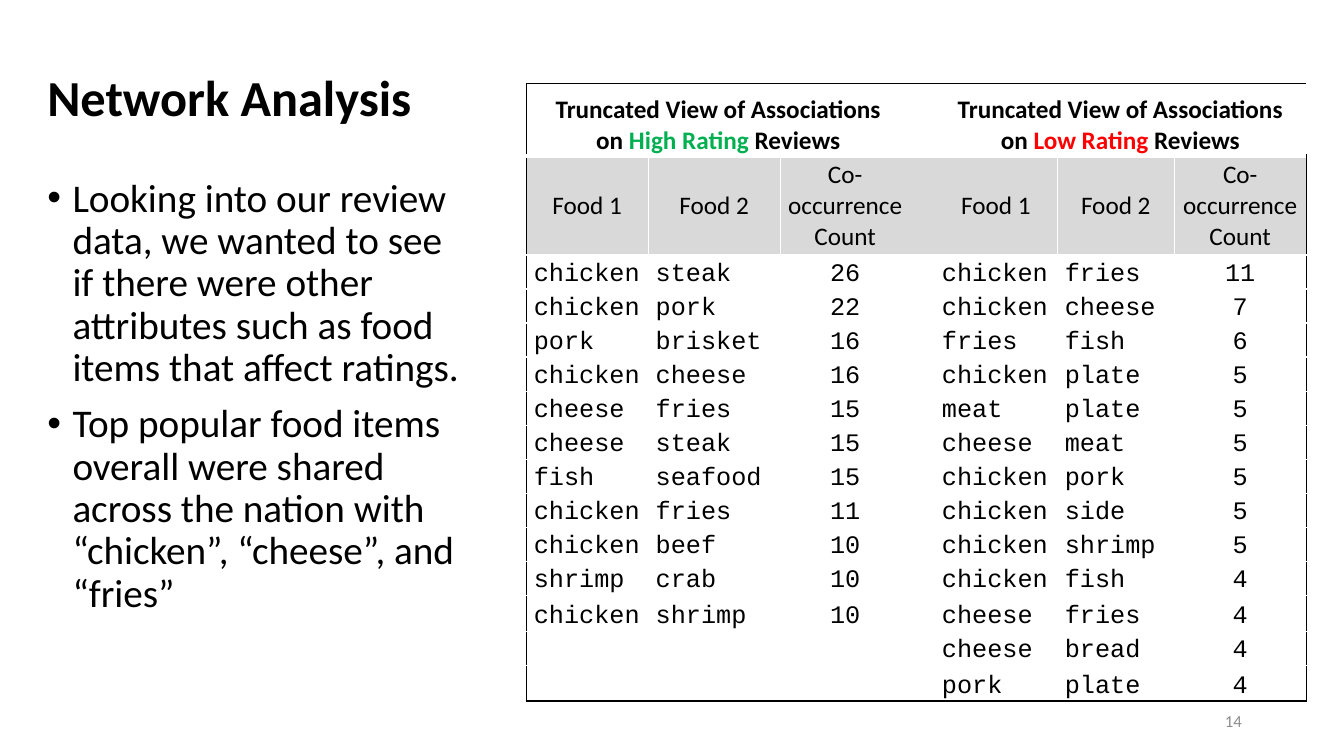
from dataclasses import dataclass

from lxml import etree
from pptx import Presentation
from pptx.dml.color import RGBColor
from pptx.enum.text import MSO_ANCHOR, MSO_AUTO_SIZE, PP_ALIGN
from pptx.oxml.ns import qn
from pptx.util import Pt

LEFT, CENTER, RIGHT = PP_ALIGN.LEFT, PP_ALIGN.CENTER, PP_ALIGN.RIGHT
MIDDLE, BOTTOM = MSO_ANCHOR.MIDDLE, MSO_ANCHOR.BOTTOM
SANS, MONO = "Calibri", "Courier New"
BLACK, WHITE, GREY, PAGE_GREY = "000000", "FFFFFF", "D9D9D9", "8C8C8C"
GREEN, RED = "00B050", "FF0000"

BULLETS = [
    "Looking into our review data, we wanted to see if there were other "
    "attributes such as food items that affect ratings.",
    "Top popular food items overall were shared across the nation with "
    "“chicken”, “cheese”, and “fries”",
]
COLUMN_NAMES = ["Food 1", "Food 2", "Co-occurrence Count"]
COLUMN_WIDTHS = [87.1, 94.3, 92.9, 17.3, 87.8, 83.5, 94.3]
ROW_HEIGHTS = [51.8, 70.6] + [24.3] * 10 + [25.7, 24.3, 25.7]
GAP_COLUMN = 3


@dataclass
class Ratings:
    """One half of the table; heading holds paragraphs of (text, colour) runs."""
    first_column: int
    heading: list[list[tuple[str, str]]]
    pairs: list[tuple[str, str, int]]


HALVES = [
    Ratings(
        0,
        [[("Truncated View of Associations", BLACK)],
         [("on ", BLACK), ("High Rating", GREEN), (" Reviews", BLACK)]],
        [("chicken", "steak", 26), ("chicken", "pork", 22), ("pork", "brisket", 16),
         ("chicken", "cheese", 16), ("cheese", "fries", 15), ("cheese", "steak", 15),
         ("fish", "seafood", 15), ("chicken", "fries", 11), ("chicken", "beef", 10),
         ("shrimp", "crab", 10), ("chicken", "shrimp", 10)],
    ),
    Ratings(
        4,
        [[("Truncated View of Associations on ", BLACK), ("Low Rating", RED),
          (" Reviews", BLACK)]],
        [("chicken", "fries", 11), ("chicken", "cheese", 7), ("fries", "fish", 6),
         ("chicken", "plate", 5), ("meat", "plate", 5), ("cheese", "meat", 5),
         ("chicken", "pork", 5), ("chicken", "side", 5), ("chicken", "shrimp", 5),
         ("chicken", "fish", 4), ("cheese", "fries", 4), ("cheese", "bread", 4),
         ("pork", "plate", 4)],
    ),
]


def rgb(color: str) -> RGBColor:
    return RGBColor.from_string(color)


def place(sp, left: float, top: float, width: float, height: float) -> None:
    sp.left, sp.top, sp.width, sp.height = Pt(left), Pt(top), Pt(width), Pt(height)


def style(p, size: float, font: str = SANS, color: str = BLACK,
          bold: bool = False, align=LEFT) -> None:
    p.alignment = align
    p.font.size, p.font.name, p.font.bold = Pt(size), font, bold
    p.font.color.rgb = rgb(color)


def add_edge(cell, side: str, color: str | None, width: float = 1) -> None:
    """Draw one cell border, or hide it when color is None."""
    ln = etree.SubElement(cell._tc.get_or_add_tcPr(), qn(f"a:ln{side}"), w=str(Pt(width)))
    if color is None:
        etree.SubElement(ln, qn("a:noFill"))
    else:
        fill = etree.SubElement(ln, qn("a:solidFill"))
        etree.SubElement(fill, qn("a:srgbClr"), val=color)


def format_cell(cell, row: int, col: int) -> None:
    last_row, last_col = len(ROW_HEIGHTS) - 1, len(COLUMN_WIDTHS) - 1
    cell.margin_left = cell.margin_right = Pt(5.4)
    cell.margin_top = cell.margin_bottom = Pt(0)
    cell.vertical_anchor = MIDDLE if row == 1 else BOTTOM
    left = None if col in (GAP_COLUMN, GAP_COLUMN + 1) else WHITE
    right = None if col in (GAP_COLUMN - 1, GAP_COLUMN) else WHITE
    # The schema wants borders in this order, ahead of the fill
    add_edge(cell, "L", BLACK if col == 0 else left)
    add_edge(cell, "R", BLACK if col == last_col else right)
    add_edge(cell, "T", BLACK if row == 0 else WHITE, 3 if row == 1 else 1)
    add_edge(cell, "B", BLACK if row == last_row else WHITE, 3 if row == 0 else 1)
    if row == 0:
        cell.fill.background()
    else:
        cell.fill.solid()
        cell.fill.fore_color.rgb = rgb(GREY if row == 1 else WHITE)


def write_cell(cell, text: str, font: str, align) -> None:
    p = cell.text_frame.paragraphs[0]
    p.text = text
    style(p, 18, font, align=align)


def fill_half(table, half: Ratings) -> None:
    first = half.first_column
    heading = table.cell(0, first)
    heading.merge(table.cell(0, first + 2))
    tf = heading.text_frame
    for i, runs in enumerate(half.heading):
        p = tf.paragraphs[0] if i == 0 else tf.add_paragraph()
        style(p, 18, bold=True, align=CENTER)
        for text, color in runs:
            r = p.add_run()
            r.text = text
            r.font.color.rgb = rgb(color)
    for i, name in enumerate(COLUMN_NAMES):
        write_cell(table.cell(1, first + i), name, SANS, CENTER)
    for row, pair in enumerate(half.pairs, start=2):
        for i, value in enumerate(pair):
            write_cell(table.cell(row, first + i), str(value), MONO,
                       CENTER if i == 2 else LEFT)


def add_ratings_table(slide) -> None:
    table = slide.shapes.add_table(
        len(ROW_HEIGHTS), len(COLUMN_WIDTHS), Pt(375.9), Pt(59.8),
        Pt(sum(COLUMN_WIDTHS)), Pt(sum(ROW_HEIGHTS))).table
    table.first_row = table.horz_banding = False
    for column, width in zip(table.columns, COLUMN_WIDTHS):
        column.width = Pt(width)
    for row, height in enumerate(ROW_HEIGHTS):
        table.rows[row].height = Pt(height)
        for col in range(len(COLUMN_WIDTHS)):
            format_cell(table.cell(row, col), row, col)
    for half in HALVES:
        fill_half(table, half)


def add_title(slide) -> None:
    sp = slide.shapes.title
    place(sp, 26.6, 19.4, 828, 104.4)
    tf = sp.text_frame
    tf.text = "Network Analysis"
    tf.auto_size, tf.vertical_anchor = MSO_AUTO_SIZE.NONE, MIDDLE
    p = tf.paragraphs[0]
    p.line_spacing = 0.9
    style(p, 36, bold=True)


def add_bullets(slide) -> None:
    sp = slide.placeholders[1]
    place(sp, 26.6, 123.8, 310.3, 342.7)
    tf = sp.text_frame
    tf.text = "\n".join(BULLETS)
    tf.auto_size = MSO_AUTO_SIZE.NONE
    for p in tf.paragraphs:
        p.line_spacing, p.space_before = 0.9, Pt(10)
        style(p, 28)
        pPr = p._p.get_or_add_pPr()
        pPr.set("marL", str(Pt(18)))
        pPr.set("indent", str(Pt(-18)))


def add_page_number(slide) -> None:
    sp = slide.shapes.add_textbox(Pt(678.2), Pt(500.4), Pt(216), Pt(28.8))
    tf = sp.text_frame
    tf.text = "14"
    tf.word_wrap, tf.vertical_anchor = True, MIDDLE
    style(tf.paragraphs[0], 12, color=PAGE_GREY, align=RIGHT)


def main() -> None:
    prs = Presentation()
    prs.slide_width, prs.slide_height = Pt(960), Pt(540)
    slide = prs.slides.add_slide(prs.slide_layouts[1])
    add_title(slide)
    add_bullets(slide)
    add_page_number(slide)
    add_ratings_table(slide)
    prs.save("out.pptx")


if __name__ == "__main__":
    main()
